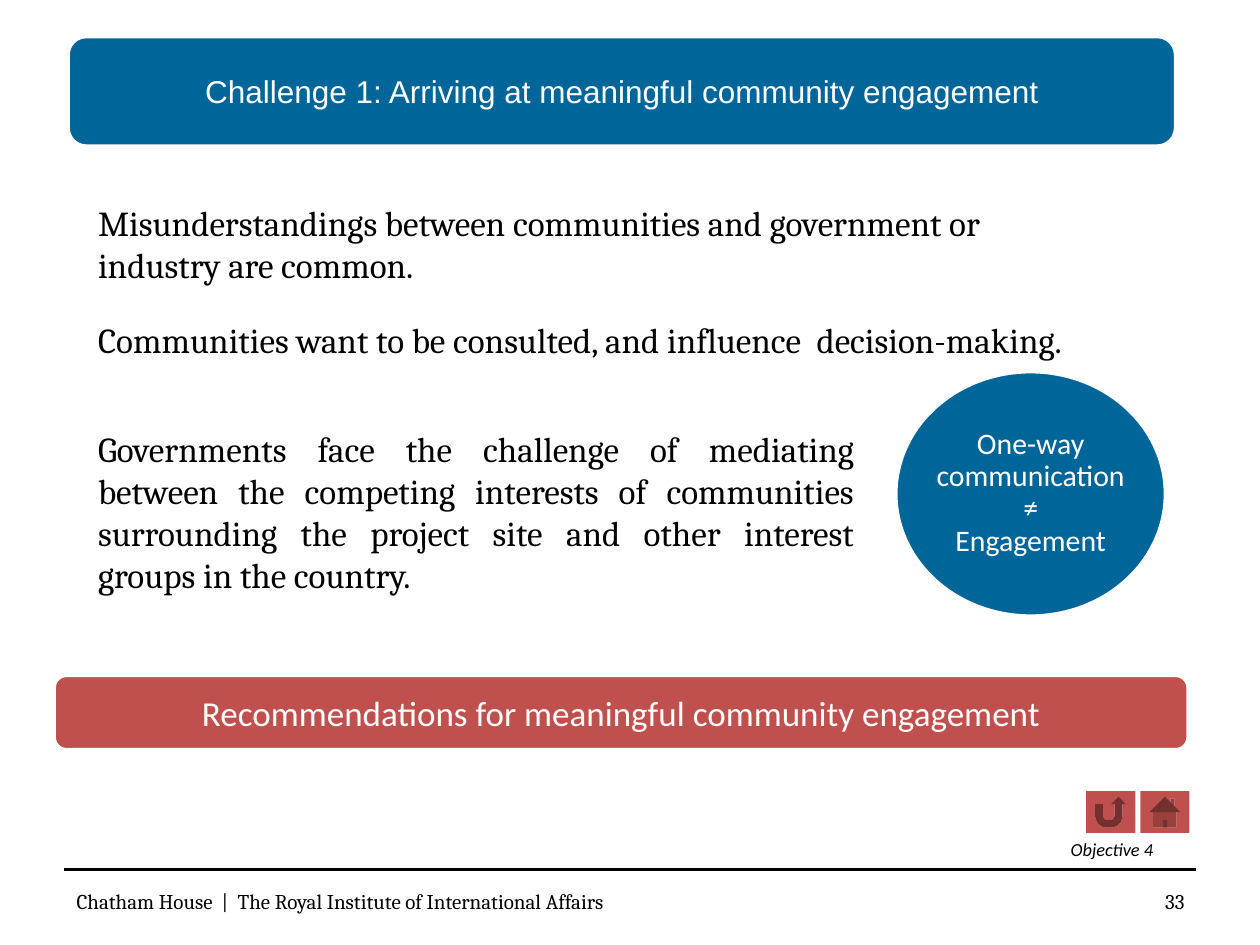
from lxml import etree
from pptx import Presentation
from pptx.dml.color import RGBColor
from pptx.enum import shapes, text
from pptx.oxml.ns import qn
from pptx.util import Inches, Pt

COLORS = {"blue": "006699", "red": "C0504D", "white": "FFFFFF", "black": "000000"}
SHAPE, ALIGN, ANCHOR = shapes.MSO_SHAPE, text.PP_ALIGN, text.MSO_ANCHOR

prs = Presentation()
prs.slide_width, prs.slide_height = Inches(10), Inches(7.5)
s = prs.slides.add_slide(prs.slide_layouts[5])


def add_shape(kind, box, color, outlined=True):
    sp = s.shapes.add_shape(kind, *map(Inches, box))
    sp.shadow.inherit = False
    sp.fill.solid()
    sp.fill.fore_color.rgb = RGBColor.from_string(COLORS[color])
    if outlined:
        sp.line.color.rgb = RGBColor.from_string(COLORS["white"])
        sp.line.width = Pt(2)
    else:
        sp.line.fill.background()
    return sp


def write(sp, lines, font, size, color="black", align=ALIGN.LEFT,
          anchor=ANCHOR.TOP, inset=None):
    """Fill a shape with one paragraph per line and return its paragraphs."""
    tf = sp.text_frame
    tf.word_wrap, tf.auto_size = True, text.MSO_AUTO_SIZE.NONE
    tf.vertical_anchor = anchor
    if inset is not None:
        tf.margin_left = tf.margin_right = tf.margin_top = tf.margin_bottom = Inches(inset)
    tf.text = "\n".join(lines)
    for p in tf.paragraphs:
        p.alignment = align
        p.font.name, p.font.size = font, Pt(size)
        p.font.color.rgb = RGBColor.from_string(COLORS[color])
    return tf.paragraphs


# Title on its blue banner
banner_box = (0.54, 0.29, 8.79, 0.87)
banner = add_shape(SHAPE.ROUNDED_RECTANGLE, banner_box, "blue")
title = s.shapes.title
title.left, title.top, title.width, title.height = map(Inches, banner_box)
write(title, ["Challenge 1: Arriving at meaningful community engagement"],
      "Arial", 18, "white", ALIGN.CENTER, ANCHOR.MIDDLE, 0.15)
banner.element.addnext(title.element)

# Body text
intro = s.shapes.add_textbox(*map(Inches, (0.68, 1.55, 8.18, 1.78)))
paragraphs = write(intro, [
    "Misunderstandings between communities and government or industry are common.",
    "Communities want to be consulted, and influence  decision-making.",
], "Cambria", 20)
paragraphs[1].space_before = Pt(19)

governments = s.shapes.add_textbox(*map(Inches, (0.68, 3.34, 6.2, 1.75)))
write(governments, [
    "Governments face the challenge of mediating between the competing interests "
    "of communities surrounding the project site and other interest groups in the country."
], "Cambria", 20, align=ALIGN.JUSTIFY)

# Circle with its message
add_shape(SHAPE.OVAL, (7.11, 2.95, 2.14, 1.94), "blue")
message = s.shapes.add_textbox(*map(Inches, (7.42, 3.23, 1.52, 1.37)))
for p in write(message, ["One-way communication ≠", "Engagement"], "Calibri", 17,
               "white", ALIGN.CENTER, ANCHOR.MIDDLE, 0):
    p.line_spacing = 0.9

# Recommendations bar
bar = add_shape(SHAPE.ROUNDED_RECTANGLE, (0.43, 5.36, 9, 0.59), "red")
write(bar, ["Recommendations for meaningful community engagement"],
      "Calibri", 20, "white", ALIGN.CENTER, ANCHOR.MIDDLE, 0.15)

# Navigation buttons
for kind, left in ((SHAPE.ACTION_BUTTON_RETURN, 8.62), (SHAPE.ACTION_BUTTON_HOME, 9.05)):
    add_shape(kind, (left, 6.28, 0.39, 0.33), "red", outlined=False)
objective = s.shapes.add_textbox(*map(Inches, (8.39, 6.6, 0.87, 0.28)))
write(objective, ["Objective 4"], "Calibri", 10.5, align=ALIGN.CENTER)[0].font.italic = True
objective.text_frame.word_wrap = False

# Footer
rule = s.shapes.add_connector(shapes.MSO_CONNECTOR.STRAIGHT,
                              *map(Inches, (0.51, 6.9, 9.49, 6.9)))
rule.line.color.rgb = RGBColor.from_string(COLORS["black"])
rule.line.width = Pt(1.5)
etree.SubElement(rule.element.spPr, qn("a:effectLst"))

for box, line, align in (
    ((0.51, 6.95, 6.07, 0.4),
     "Chatham House  |  The Royal Institute of International Affairs", ALIGN.LEFT),
    ((7.17, 6.95, 2.33, 0.4), "33", ALIGN.RIGHT),
):
    footer = s.shapes.add_textbox(*map(Inches, box))
    write(footer, [line], "Cambria", 12, align=align, anchor=ANCHOR.MIDDLE)

prs.save("out.pptx")
